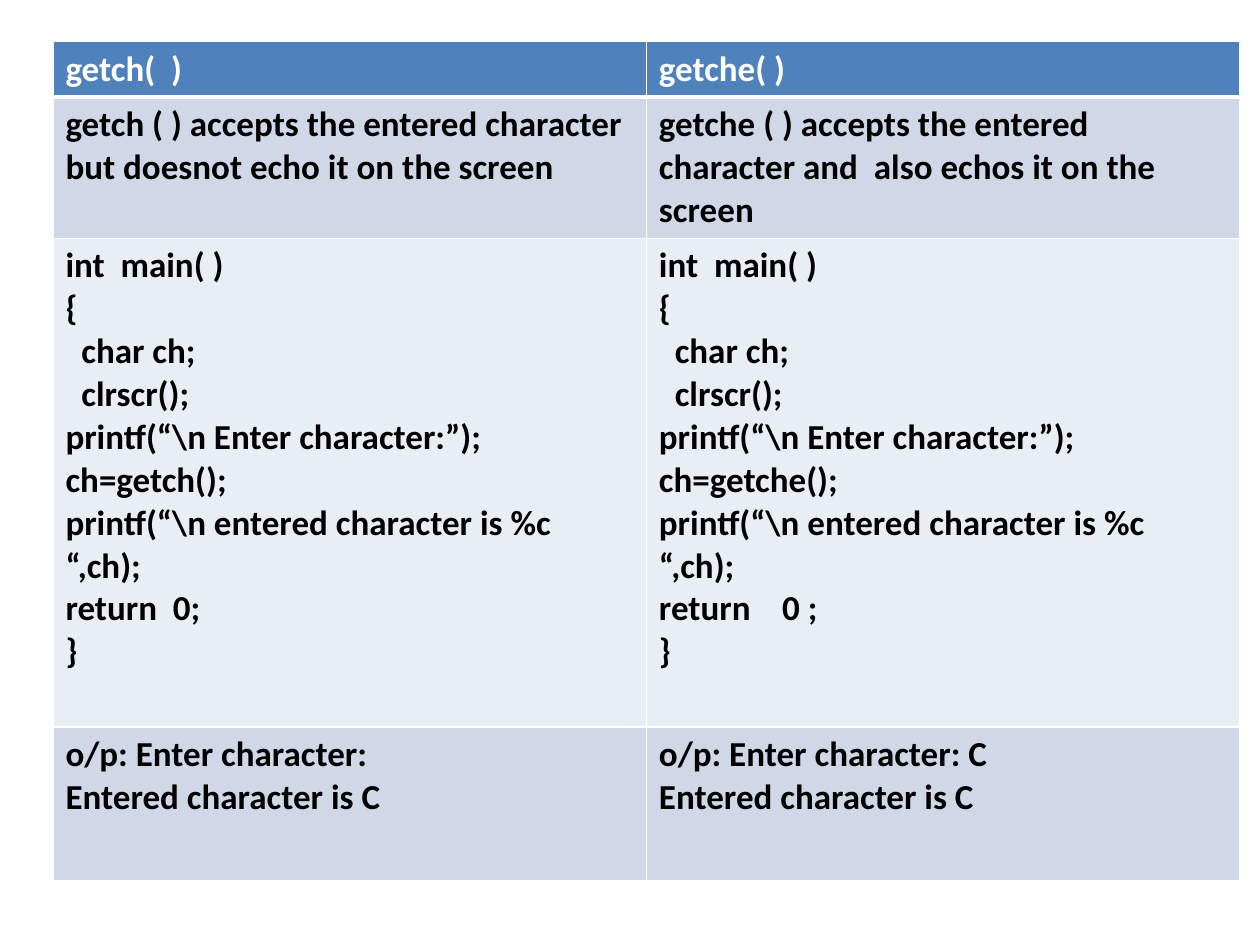
from lxml import etree
from pptx import Presentation
from pptx.dml.color import RGBColor
from pptx.oxml.ns import qn
from pptx.util import Inches, Pt

WHITE = RGBColor(0xFF, 0xFF, 0xFF)
BLACK = RGBColor(0x00, 0x00, 0x00)
BLUE = RGBColor(0x4F, 0x81, 0xBD)
BAND_DARK = RGBColor(0xD0, 0xD8, 0xE8)
BAND_LIGHT = RGBColor(0xE9, 0xED, 0xF4)


class Deck:
    font = "Calibri"
    size = Pt(20)

    def __init__(self, width, height):
        self.prs = Presentation()
        self.prs.slide_width = Inches(width)
        self.prs.slide_height = Inches(height)
        self.s = self.prs.slides.add_slide(self.prs.slide_layouts[6])

    def border(self, cell, side, width):
        tcPr = cell._tc.get_or_add_tcPr()
        ln = etree.SubElement(tcPr, qn("a:ln" + side), w=str(Pt(width)))
        fill = etree.SubElement(ln, qn("a:solidFill"))
        etree.SubElement(fill, qn("a:srgbClr"), val=str(WHITE))

    def cell(self, cell, text, fill, color, widths):
        for side in "LRTB":
            self.border(cell, side, widths.get(side, 1))
        cell.fill.solid()
        cell.fill.fore_color.rgb = fill
        cell.text_frame.text = text
        for p in cell.text_frame.paragraphs:
            for r in p.runs:
                r.font.name = self.font
                r.font.size = self.size
                r.font.bold = True
                r.font.color.rgb = color

    def table(self, left, top, col_widths, row_heights, rows):
        sp = self.s.shapes.add_table(
            len(rows), len(col_widths), Inches(left), Inches(top),
            Inches(sum(col_widths)), Inches(sum(row_heights)))
        table = sp.table
        for column, width in zip(table.columns, col_widths):
            column.width = Inches(width)
        for row, height in zip(table.rows, row_heights):
            row.height = Inches(height)
        for i, texts in enumerate(rows):
            fill = BLUE if i == 0 else BAND_DARK if i % 2 else BAND_LIGHT
            color = WHITE if i == 0 else BLACK
            widths = {0: {"B": 3}, 1: {"T": 3}}.get(i, {})
            for j, text in enumerate(texts):
                self.cell(table.cell(i, j), text, fill, color, widths)


def program(call, ending):
    return "\n".join([
        "int  main( )",
        "{",
        "  char ch;",
        "  clrscr();",
        "printf(“\\n Enter character:”);",
        f"ch={call}();",
        "printf(“\\n entered character is %c “,ch);",
        ending,
        "}",
    ])


deck = Deck(10, 7.5)
deck.table(0.42, 0.33, [4.71, 4.71], [0.4, 1.02, 3.88, 1.22], [
    ("getch(  )", "getche( )"),
    ("getch ( ) accepts the entered character but doesnot echo it on the screen",
     "getche ( ) accepts the entered character and  also echos it on the screen"),
    (program("getch", "return  0;"), program("getche", "return    0 ;")),
    ("o/p: Enter character: \nEntered character is C",
     "o/p: Enter character: C\nEntered character is C"),
])
deck.prs.save("out.pptx")
